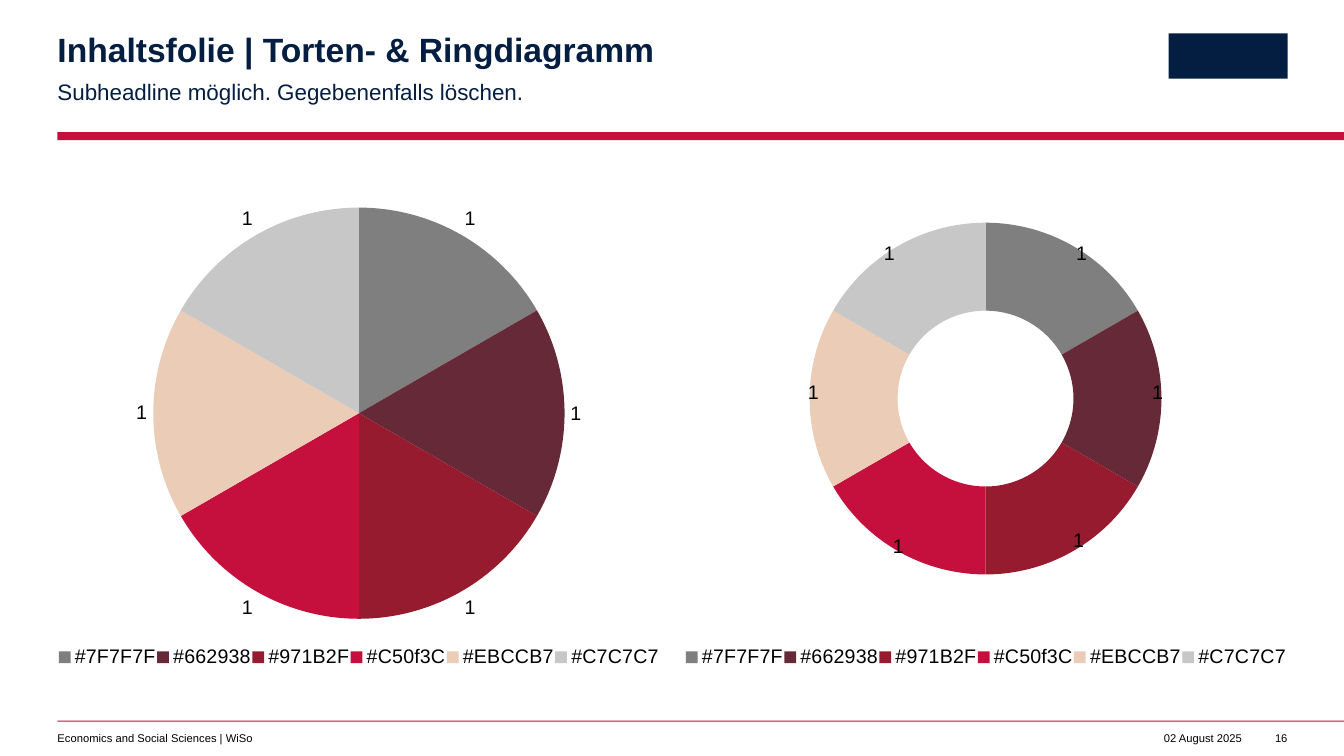
import copy
from dataclasses import dataclass
from typing import Optional

import pptx
import pptx.chart.data
import pptx.dml.color
import pptx.enum.chart
import pptx.enum.shapes
import pptx.enum.text
import pptx.oxml
import pptx.oxml.ns
import pptx.util

Inches = pptx.util.Inches
FONT = "Arial"
COLOURS = {"navy": "041E42", "red": "C50F3C", "black": "000000"}
CATEGORIES = ["#7F7F7F", "#662938", "#971B2F", "#C50f3C", "#EBCCB7", "#C7C7C7"]
LEFT_MARGIN = 0.57
CHART_TOP, CHART_WIDTH, CHART_HEIGHT = 1.78, 5.98, 5
RING_HOLE = 80
RING_LABEL_OFFSETS = [
    (0.3, -0.3), (0.4, -0.06), (0.27, 0.28),
    (-0.21, 0.34), (-0.4, -0.06), (-0.3, -0.3),
]


@dataclass
class Bar:
    left: float
    top: float
    width: float
    height: float
    colour: str


@dataclass
class Label:
    text: str
    left: float
    top: float
    width: float
    height: float
    size: float
    colour: str = "black"
    bold: bool = False
    line_spacing: float = 1.0
    right_aligned: bool = False
    wrap: bool = True


@dataclass
class Area:
    left: float
    top: float
    width: float
    height: float


@dataclass
class RoundChart:
    kind: pptx.enum.chart.XL_CHART_TYPE
    left: float
    plot_area: Area
    label_position: Optional[pptx.enum.chart.XL_LABEL_POSITION] = None


BARS = [
    Bar(LEFT_MARGIN, 1.31, 12.77, 0.08, "red"),
    Bar(LEFT_MARGIN, 7.15, 12.77, 0.01, "red"),
    Bar(11.59, 0.33, 1.18, 0.45, "navy"),
]
TITLE = Label("Inhaltsfolie | Torten- & Ringdiagramm", LEFT_MARGIN, 0.33, 7.49, 0.36,
              24, "navy", bold=True, line_spacing=0.9)
LABELS = [
    Label("Subheadline möglich. Gegebenenfalls löschen.", LEFT_MARGIN, 0.75, 7.49, 0.27,
          16, "navy", line_spacing=1.1),
    Label("Economics and Social Sciences | WiSo", LEFT_MARGIN, 7.26, 5.98, 0.13, 8),
    Label("02 August 2025", 11.39, 7.26, 0.93, 0.13, 8, right_aligned=True, wrap=False),
    Label("16", 12.56, 7.26, 0.21, 0.13, 8, right_aligned=True, wrap=False),
]
LEGEND_AREA = Area(0, 4.61, CHART_WIDTH, 0.26)
PIE = RoundChart(pptx.enum.chart.XL_CHART_TYPE.PIE, LEFT_MARGIN, Area(0.95, 0.28, 4.08, 4.08),
                 pptx.enum.chart.XL_LABEL_POSITION.OUTSIDE_END)
RING = RoundChart(pptx.enum.chart.XL_CHART_TYPE.DOUGHNUT, 6.79, Area(1.24, 0.43, 3.49, 3.49))


def colour_of(value: str) -> pptx.dml.color.RGBColor:
    return pptx.dml.color.RGBColor.from_string(value.upper())


def format_font(font, size: float, colour: str = "black", bold: bool = False) -> None:
    font.name = FONT
    font.size = pptx.util.Pt(size)
    font.bold = bold
    font.color.rgb = colour_of(COLOURS[colour])


def draw_bar(slide, bar: Bar) -> None:
    shape = slide.shapes.add_shape(
        pptx.enum.shapes.MSO_SHAPE.RECTANGLE,
        Inches(bar.left), Inches(bar.top), Inches(bar.width), Inches(bar.height))
    shape.shadow.inherit = False
    shape.fill.solid()
    shape.fill.fore_color.rgb = colour_of(COLOURS[bar.colour])
    shape.line.fill.background()


def write_label(shape, label: Label) -> None:
    shape.left, shape.top = Inches(label.left), Inches(label.top)
    shape.width, shape.height = Inches(label.width), Inches(label.height)
    frame = shape.text_frame
    frame.margin_left = frame.margin_right = frame.margin_top = frame.margin_bottom = 0
    frame.word_wrap = label.wrap
    frame.auto_size = pptx.enum.text.MSO_AUTO_SIZE.NONE
    frame.vertical_anchor = pptx.enum.text.MSO_ANCHOR.TOP
    paragraph = frame.paragraphs[0]
    alignments = pptx.enum.text.PP_ALIGN
    paragraph.alignment = alignments.RIGHT if label.right_aligned else alignments.LEFT
    paragraph.line_spacing = label.line_spacing
    run = paragraph.add_run()
    run.text = label.text
    format_font(run.font, label.size, label.colour, label.bold)


def layout_xml(left: float, top: float, settings: str = "", sizes: str = "") -> str:
    return (f'<c:layout {pptx.oxml.ns.nsdecls("c")}><c:manualLayout>{settings}'
            f'<c:x val="{left / CHART_WIDTH}"/><c:y val="{top / CHART_HEIGHT}"/>{sizes}'
            f'</c:manualLayout></c:layout>')


def place_part(part, area: Area, position: int, target: str = "") -> None:
    for layout in part.findall(pptx.oxml.ns.qn("c:layout")):
        part.remove(layout)
    settings = f'{target}<c:xMode val="edge"/><c:yMode val="edge"/>'
    sizes = (f'<c:w val="{area.width / CHART_WIDTH}"/>'
             f'<c:h val="{area.height / CHART_HEIGHT}"/>')
    part.insert(position, pptx.oxml.parse_xml(layout_xml(area.left, area.top, settings, sizes)))


def draw_chart(slide, design: RoundChart):
    data = pptx.chart.data.CategoryChartData()
    data.categories = CATEGORIES
    data.add_series("Series 1", [1] * len(CATEGORIES))
    chart = slide.shapes.add_chart(
        design.kind, Inches(design.left), Inches(CHART_TOP),
        Inches(CHART_WIDTH), Inches(CHART_HEIGHT), data).chart
    format_font(chart.font, 10)
    chart.has_title = False
    chart.has_legend = True
    chart.legend.position = pptx.enum.chart.XL_LEGEND_POSITION.BOTTOM
    chart.legend.include_in_layout = False
    format_font(chart.legend.font, 14)
    plot = chart.plots[0]
    plot.vary_by_categories = True
    series = plot.series[0]
    for index, category in enumerate(CATEGORIES):
        fill = series.points[index].format.fill
        fill.solid()
        fill.fore_color.rgb = colour_of(category.lstrip("#"))
    labels = series.data_labels
    labels.show_value = True
    format_font(labels.font, 14)
    if design.label_position is not None:
        labels.position = design.label_position
    qn = pptx.oxml.ns.qn
    plot_part = next(chart.element.iter(qn("c:plotArea")))
    place_part(plot_part, design.plot_area, 0, '<c:layoutTarget val="inner"/>')
    place_part(next(chart.element.iter(qn("c:legend"))), LEGEND_AREA, 1)
    return chart


def arrange_ring(chart) -> None:
    qn = pptx.oxml.ns.qn
    root = chart.element
    next(root.iter(qn("c:holeSize"))).set("val", str(RING_HOLE))
    labels = next(root.iter(qn("c:ser"))).find(qn("c:dLbls"))
    text_format = labels.find(qn("c:txPr"))
    flags = "".join(
        f'<c:show{name} val="{int(name == "Val")}"/>'
        for name in ("LegendKey", "Val", "CatName", "SerName", "Percent", "BubbleSize"))
    for index, (right, down) in enumerate(RING_LABEL_OFFSETS):
        label = pptx.oxml.parse_xml(
            f'<c:dLbl {pptx.oxml.ns.nsdecls("c")}><c:idx val="{index}"/>'
            f'{layout_xml(right, down)}{flags}</c:dLbl>')
        label.insert(2, copy.deepcopy(text_format))
        labels.insert(index, label)


def main() -> None:
    presentation = pptx.Presentation()
    presentation.slide_width = Inches(13.33)
    presentation.slide_height = Inches(7.5)
    slide = presentation.slides.add_slide(presentation.slide_layouts.get_by_name("Title Only"))
    for bar in BARS:
        draw_bar(slide, bar)
    write_label(slide.shapes.title, TITLE)
    for label in LABELS:
        write_label(slide.shapes.add_textbox(0, 0, 0, 0), label)
    draw_chart(slide, PIE)
    arrange_ring(draw_chart(slide, RING))
    presentation.save("out.pptx")


if __name__ == "__main__":
    main()
